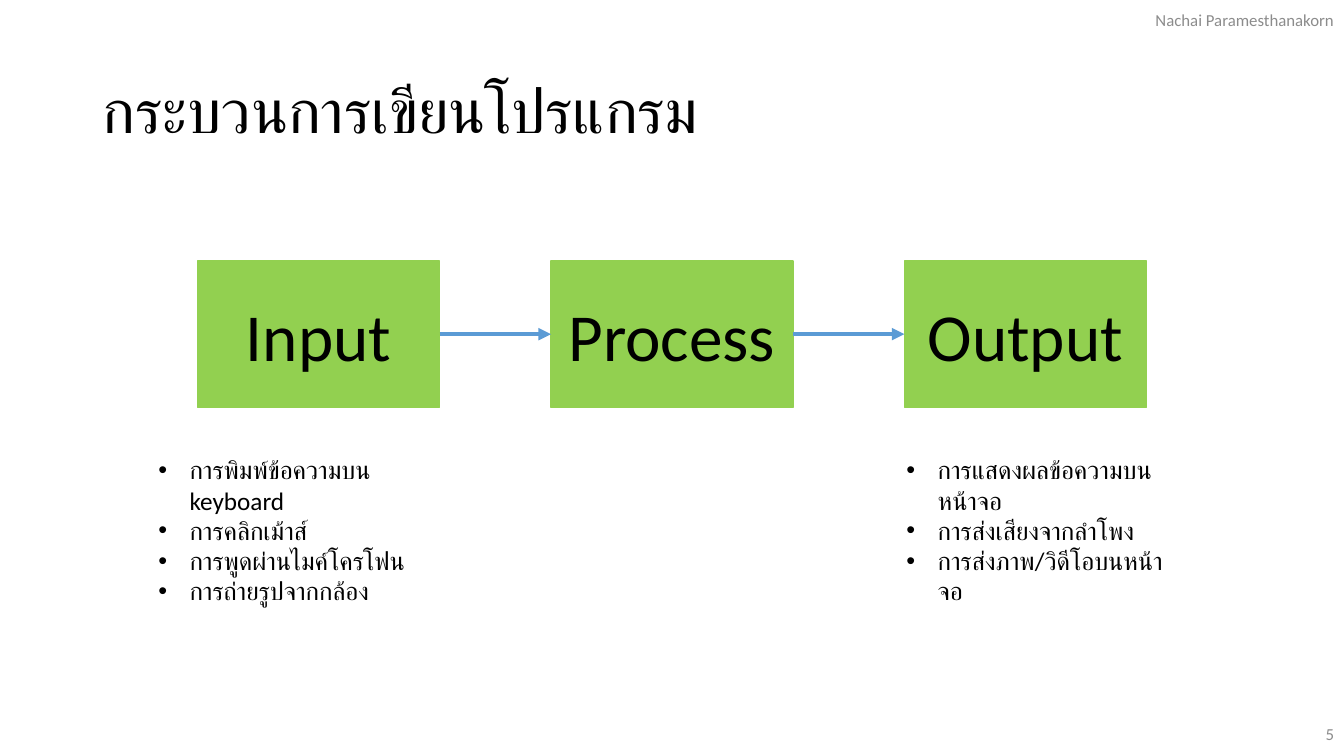
from pptx import Presentation, util as u
from pptx.dml.color import RGBColor
from pptx.enum import shapes, text
from pptx.oxml import parse_xml
from pptx.oxml.ns import nsdecls, qn

W, H = u.Inches(13.33), u.Inches(7.5)
FONT = "Calibri"
BLACK = RGBColor(0x00, 0x00, 0x00)
GREEN = RGBColor(0x92, 0xD0, 0x50)
BLUE = RGBColor(0x5B, 0x9B, 0xD5)
GRAY = RGBColor(0x8C, 0x8C, 0x8C)
LEFT, MID, RIGHT = text.PP_ALIGN.LEFT, text.PP_ALIGN.CENTER, text.PP_ALIGN.RIGHT

STEPS = ["Input", "Process", "Output"]
INPUTS = ["การพิมพ์ข้อความบน keyboard", "การคลิกเม้าส์",
          "การพูดผ่านไมค์โครโฟน", "การถ่ายรูปจากกล้อง"]
OUTPUTS = ["การแสดงผลข้อความบนหน้าจอ", "การส่งเสียงจากลำโพง",
           "การส่งภาพ/วิดีโอบนหน้าจอ"]


def area(x, y, w, h):
    """Turn a box in inches into slide lengths."""
    return [u.Inches(v) for v in (x, y, w, h)]


def place(shape, box):
    """Move a shape to its box."""
    shape.left, shape.top, shape.width, shape.height = box


def style(par, size, color, align):
    """Set the look of one paragraph."""
    par.alignment = align
    for run in par.runs:
        run.font.name = FONT
        run.font.size = u.Pt(size)
        run.font.color.rgb = color


def title(slide, box, words):
    """Fill the title placeholder."""
    shape = slide.shapes.title
    place(shape, box)
    frame = shape.text_frame
    frame.text = words
    frame.vertical_anchor = text.MSO_ANCHOR.MIDDLE
    par = frame.paragraphs[0]
    par.line_spacing = 0.9
    style(par, 44, BLACK, LEFT)


def step(group, box, name):
    """Draw one green step of the flow."""
    shape = group.shapes.add_shape(shapes.MSO_SHAPE.RECTANGLE, *box)
    shape.shadow.inherit = False
    shape.fill.solid()
    shape.fill.fore_color.rgb = GREEN
    shape.line.color.rgb = GREEN
    shape.line.width = u.Pt(1)
    frame = shape.text_frame
    frame.text = name
    frame.vertical_anchor = text.MSO_ANCHOR.MIDDLE
    style(frame.paragraphs[0], 48, BLACK, MID)
    return shape


def arrow(group, start, end):
    """Join two steps with an arrow."""
    line = group.shapes.add_connector(shapes.MSO_CONNECTOR.STRAIGHT, 0, 0, 0, 0)
    line.begin_connect(start, 3)
    line.end_connect(end, 1)
    line.line.color.rgb = BLUE
    line.line.width = u.Pt(3)
    line.line._get_or_add_ln().append(
        parse_xml(f'<a:tailEnd {nsdecls("a")} type="triangle"/>'))
    line._element.spPr.append(parse_xml(f'<a:effectLst {nsdecls("a")}/>'))


def flow(slide, box, names):
    """Lay the steps out evenly across the box and join them."""
    x, y, w, h = box
    wide = int(w * 0.255)
    pitch = (w - wide) // (len(names) - 1)
    group = slide.shapes.add_group_shape()
    steps = [step(group, (x + i * pitch, y, wide, h), name)
             for i, name in enumerate(names)]
    for start, end in zip(steps, steps[1:]):
        arrow(group, start, end)


def bullets(shape, box, items):
    """Fill a body placeholder with a bulleted list."""
    place(shape, box)
    frame = shape.text_frame
    frame.text = "\n".join(items)
    frame.word_wrap = True
    frame.auto_size = text.MSO_AUTO_SIZE.SHAPE_TO_FIT_TEXT
    frame.vertical_anchor = text.MSO_ANCHOR.TOP
    for par in frame.paragraphs:
        props = par._p.get_or_add_pPr()
        props.set("marL", str(u.Inches(0.31)))
        props.set("indent", str(-u.Inches(0.31)))
        font = parse_xml(f'<a:buFont {nsdecls("a")} typeface="Arial"/>')
        mark = parse_xml(f'<a:buChar {nsdecls("a")} char="•"/>')
        props.extend([font, mark])
        par.space_before = par.space_after = u.Pt(0)
        style(par, 18, BLACK, LEFT)


def label(slide, box, words):
    """Write a small gray label against the right edge."""
    frame = slide.shapes.add_textbox(*box).text_frame
    frame.word_wrap = True
    frame.text = words
    frame.vertical_anchor = text.MSO_ANCHOR.MIDDLE
    frame.margin_right = u.Inches(0.1)
    style(frame.paragraphs[0], 12, GRAY, RIGHT)


def main():
    """Build the slide and save it."""
    deck = Presentation()
    deck.slide_width, deck.slide_height = W, H
    slide = deck.slides.add_slide(deck.slide_layouts[3])
    title(slide, area(0.92, 0.4, 11.5, 1.45), "กระบวนการเขียนโปรแกรม")
    flow(slide, area(1.96, 2.59, 9.41, 1.45), STEPS)
    bullets(slide.placeholders[1], area(1.47, 4.46, 2.89, 1.31), INPUTS)
    bullets(slide.placeholders[2], area(8.89, 4.46, 2.89, 1.01), OUTPUTS)
    label(slide, area(10.33, 7.08, 3, 0.4), "5")
    label(slide, area(10.49, 0, 2.84, 0.4), "Nachai Paramesthanakorn")
    deck.save("out.pptx")


if __name__ == "__main__":
    main()
